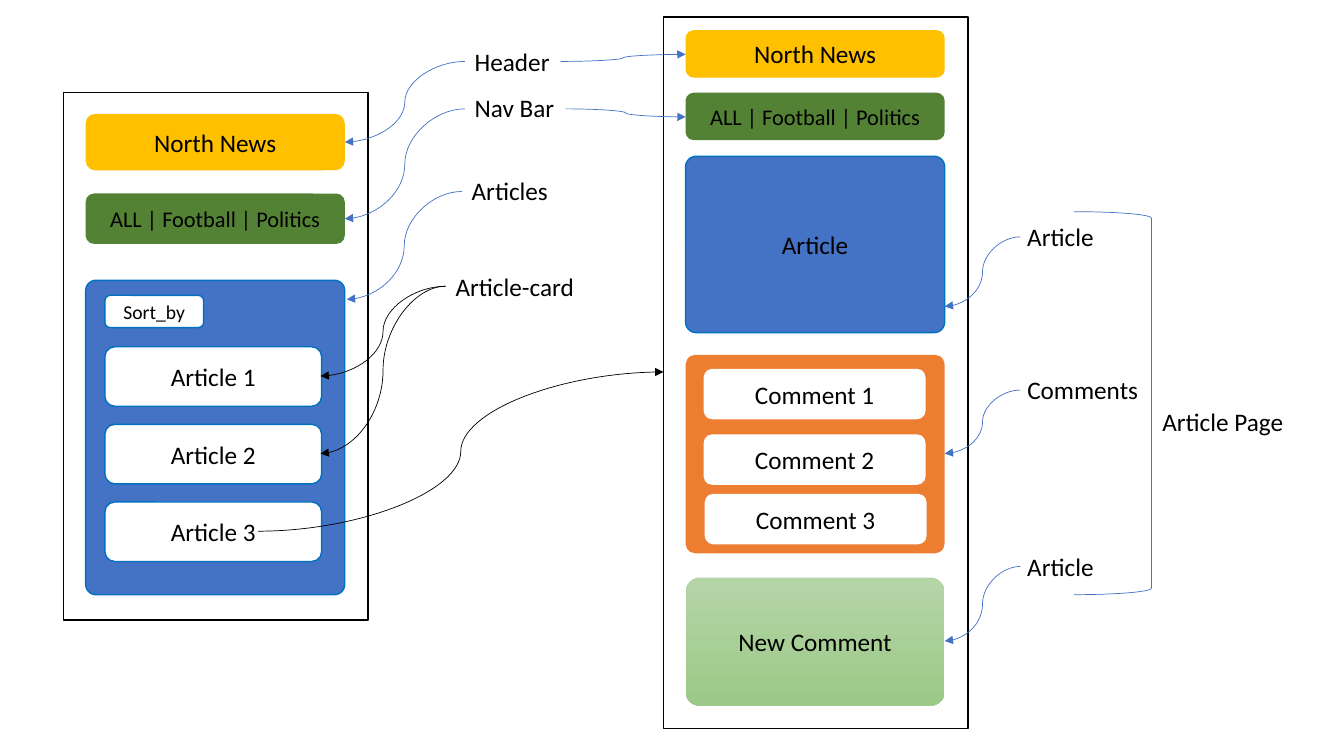
from lxml import etree
from pptx import Presentation
from pptx import util as u
from pptx.dml.color import RGBColor
from pptx.enum import shapes, text
from pptx.oxml.ns import qn

HUES = {"ink": "000000", "white": "FFFFFF", "gold": "FFC000", "green": "548235",
        "blue": "4472C4", "edge": "0070C0", "orange": "ED7D31",
        "pale": "B5D5A7", "leaf": "9CC987"}
KINDS = shapes.MSO_SHAPE


class Board:
    def __init__(self, deck, cols, rows, font):
        self.slide = deck.slides.add_slide(deck.slide_layouts[6])
        self.wide = deck.slide_width / cols
        self.high = deck.slide_height / rows
        self.font = font

    def hue(self, name):
        return RGBColor.from_string(HUES[name])

    def place(self, x, y, w, h):
        return (round(x * self.wide), round(y * self.high),
                round(w * self.wide), round(h * self.high))

    def letter(self, shape, words, size, align):
        para = shape.text_frame.paragraphs[0]
        para.text = words
        para.alignment = align
        for run in para.runs:
            run.font.name = self.font
            run.font.size = u.Pt(size)
            run.font.color.rgb = self.hue("ink")

    def shape(self, kind, spot, fill=None, line=None, weight=1):
        item = self.slide.shapes.add_shape(kind, *self.place(*spot))
        item.shadow.inherit = False
        if isinstance(fill, tuple):
            item.fill.gradient()
            item.fill.gradient_angle = 270
            for stop, name in zip(item.fill.gradient_stops, fill):
                stop.color.rgb = self.hue(name)
        elif fill:
            item.fill.solid()
            item.fill.fore_color.rgb = self.hue(fill)
        else:
            item.fill.background()
        if line:
            item.line.color.rgb = self.hue(line)
            item.line.width = u.Pt(weight)
        else:
            item.line.fill.background()
        return item

    def block(self, spot, fill, words="", size=18, line=None, bend=None):
        item = self.shape(KINDS.ROUNDED_RECTANGLE, spot, fill, line)
        if bend:
            item.adjustments[0] = bend
        if words:
            item.text_frame.vertical_anchor = text.MSO_ANCHOR.MIDDLE
            self.letter(item, words, size, text.PP_ALIGN.CENTER)

    def label(self, x, y, w, words):
        box = self.slide.shapes.add_textbox(*self.place(x, y, w, 4))
        box.text_frame.word_wrap = False
        box.text_frame.auto_size = text.MSO_AUTO_SIZE.SHAPE_TO_FIT_TEXT
        self.letter(box, words, 18, text.PP_ALIGN.LEFT)

    def arrow(self, start, end, line="blue"):
        ends = self.place(*start, *end)
        item = self.slide.shapes.add_connector(shapes.MSO_CONNECTOR.CURVE, *ends)
        item.line.color.rgb = self.hue(line)
        item.line.width = u.Pt(0.5)
        props = item._element.spPr
        etree.SubElement(props.find(qn("a:ln")), qn("a:tailEnd"), type="triangle")
        etree.SubElement(props, qn("a:effectLst"))


deck = Presentation()
deck.slide_width, deck.slide_height = u.Inches(13.33), u.Inches(7.5)
board = Board(deck, 133.3, 75, "Calibri")

HOME, PAGE, WIDE = 8.5, 68, 25.7
menu = "ALL | Football | Politics"

board.shape(KINDS.RECTANGLE, (6.3, 9.2, 30.2, 52.3), "white", "ink")
board.shape(KINDS.RECTANGLE, (65.8, 1.7, 30.2, 70.6), "white", "ink")
for left, top, tall, low, deep in ((HOME, 11.3, 5.6, 19.2, 5), (PAGE, 3, 4.7, 9.2, 4.7)):
    board.block((left, top, WIDE, tall), "gold", "North News")
    board.block((left, low, WIDE, deep), "green", menu, 16)

board.block((HOME, 27.8, WIDE, 31.2), "blue", line="edge", bend=0.04)
board.block((10.4, 29.3, 9.8, 3.2), "white", "Sort_by", 14, "edge")
for i in range(3):
    board.block((10.4, 34.4 + 7.7 * i, 21.5, 5.9), "white", f"Article {i + 1}", line="edge")

board.block((PAGE, 15.5, WIDE, 17.5), "blue", "Article", line="edge", bend=0.06)
board.block((PAGE, 35.2, WIDE, 19.7), "orange", bend=0.05)
for i, (left, top) in enumerate(((69.8, 36.6), (69.8, 43.1), (69.9, 49)), 1):
    board.block((left, top, 22, 5), "white", f"Comment {i}")
board.block((PAGE, 57.3, WIDE, 12.7), ("pale", "leaf"), "New Comment", bend=0.11)

for x, y, w, words in (
        (46.1, 4.1, 9.5, "Header"), (46.1, 8.7, 10, "Nav Bar"),
        (45.8, 16.9, 9.7, "Articles"), (44.2, 26.4, 13.9, "Article-card"),
        (100.9, 21.5, 8.7, "Article"), (100.9, 36.6, 13.1, "Comments"),
        (100.9, 54.2, 8.7, "Article"), (114.3, 39.8, 14.1, "Article Page")):
    board.label(x, y, w, words)

for start, end in (
        ((46.1, 6.1), (34.2, 14.1)), ((55.6, 6.1), (PAGE, 5.4)),
        ((46.1, 10.8), (34.2, 21.7)), ((56.1, 10.8), (PAGE, 11.6)),
        ((45.8, 19), (34.4, 29.7)), ((101.2, 23.5), (93.7, 30.4)),
        ((101.2, 38.7), (93.7, 45)), ((101.2, 56.2), (93.7, 63.6))):
    board.arrow(start, end)
for start, end in (((44.2, 28.4), (31.8, 37.3)), ((44.2, 28.4), (31.8, 45)),
                   ((25.6, 52.7), (65.8, 36.9))):
    board.arrow(start, end, "ink")

board.shape(KINDS.RIGHT_BRACKET, (106.5, 21, 7.7, 38), line="blue", weight=0.5)

deck.save("out.pptx")
